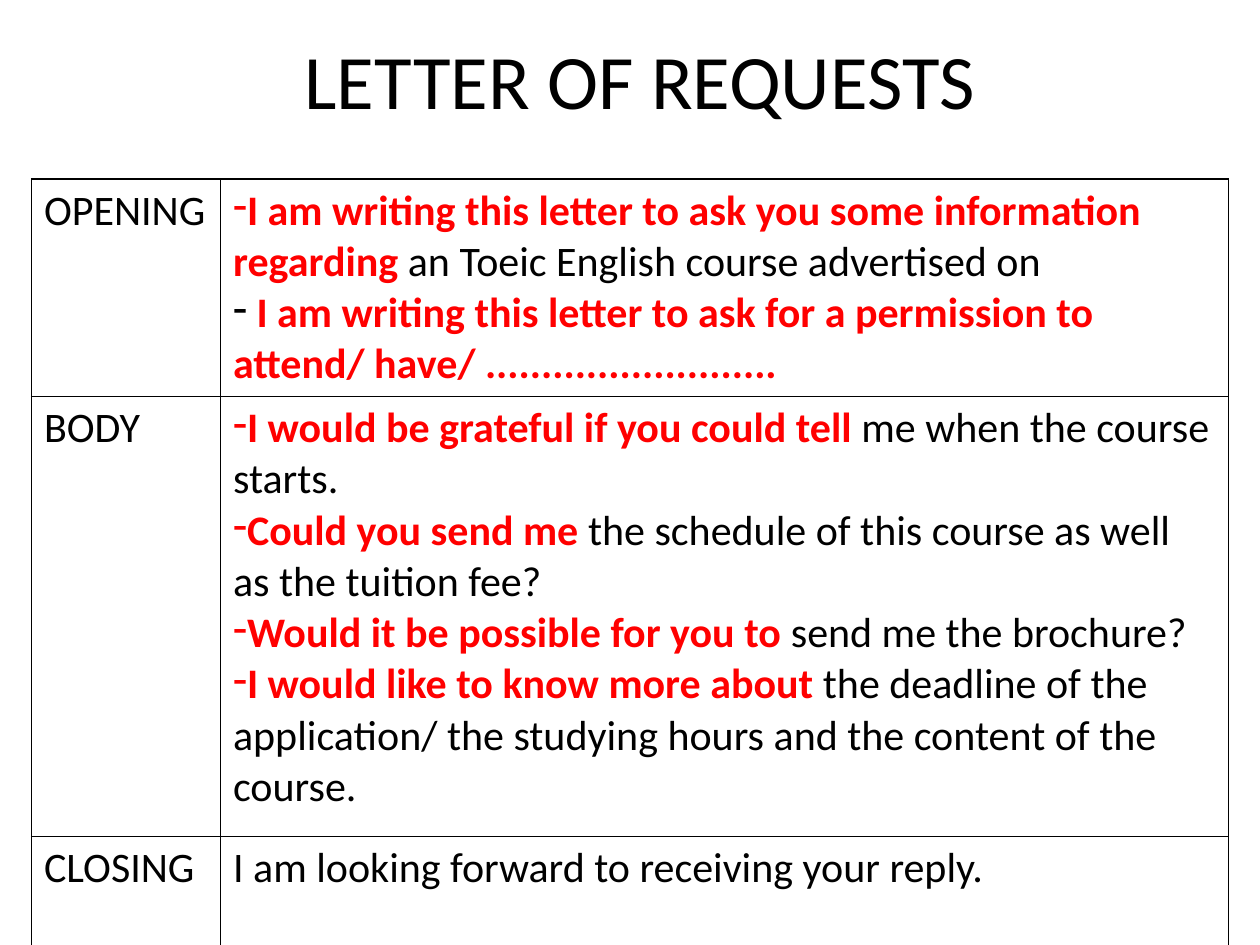
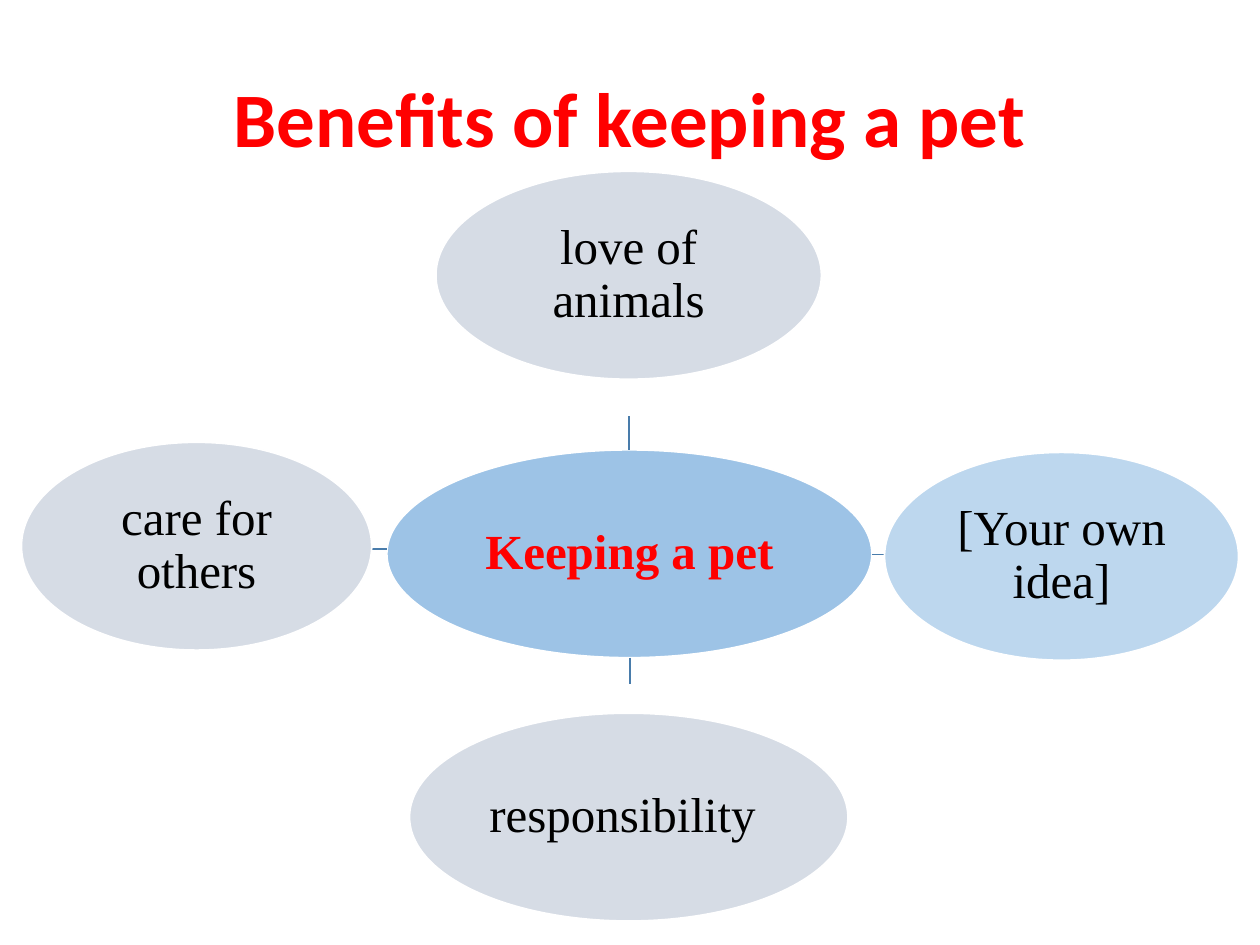
from lxml import etree
from pptx import Presentation
from pptx.dml.color import RGBColor
from pptx.enum.shapes import MSO_CONNECTOR, MSO_SHAPE
from pptx.enum.text import MSO_ANCHOR, PP_ALIGN
from pptx.oxml.ns import qn
from pptx.util import Inches, Pt

OVAL = MSO_SHAPE.OVAL
LINE = MSO_CONNECTOR.STRAIGHT
MIDDLE = MSO_ANCHOR.MIDDLE
CENTER = PP_ALIGN.CENTER

HUES = {
    "black": "000000",
    "red": "FF0000",
    "white": "FFFFFF",
    "core": "9DC3E6",
    "grey": "D6DCE5",
    "pale": "BDD7EE",
    "link": "497CAB",
}
TITLE = {"name": "Calibri", "size": Pt(44)}
CELL = {"name": "Calibri", "size": Pt(24)}
NODE = {"name": "Times New Roman", "size": Pt(28)}


def hue(name):
    return RGBColor.from_string(HUES[name])


def inches(*sizes):
    return [Inches(size) for size in sizes]


class Deck:
    def __init__(self):
        self.file = Presentation()
        self.file.slide_width, self.file.slide_height = inches(10, 7.5)
        self.slide = None

    def page(self):
        self.slide = self.file.slides.add_slide(self.file.slide_layouts[6])
        fill = self.slide.background.fill
        fill.solid()
        fill.fore_color.rgb = hue("white")

    def run(self, para, text, look, tone="black", bold=False):
        run = para.add_run()
        run.text = text
        for key, value in {**look, "bold": bold}.items():
            setattr(run.font, key, value)
        run.font.color.rgb = hue(tone)

    def label(self, shape, text, look, tone, bold, inset=None):
        frame = shape.text_frame
        form = {"word_wrap": True, "vertical_anchor": MIDDLE}
        if inset is not None:
            for side in ("left", "right", "top", "bottom"):
                form["margin_" + side] = Inches(inset)
        for key, value in form.items():
            setattr(frame, key, value)
        para = frame.paragraphs[0]
        para.alignment = CENTER
        self.run(para, text, look, tone, bold)
        return para

    def title(self, text, left, top, tone="black", bold=False):
        box = self.slide.shapes.add_textbox(*inches(left, top, 9, 1.25))
        self.label(box, text, TITLE, tone, bold)

    def oval(self, text, place, fill, tone="black", bold=False):
        oval = self.slide.shapes.add_shape(OVAL, *inches(*place))
        oval.shadow.inherit = False
        oval.fill.solid()
        oval.fill.fore_color.rgb = hue(fill)
        oval.line.color.rgb = hue("white")
        oval.line.width = Pt(1)
        para = self.label(oval, text, NODE, tone, bold, 0.02)
        para.line_spacing = 0.9

    def link(self, *ends):
        link = self.slide.shapes.add_connector(LINE, *inches(*ends))
        link.line.color.rgb = hue("link")
        link.line.width = Pt(1)
        props = link._element.spPr
        etree.SubElement(props, qn("a:effectLst"))

    def border(self, cell):
        props = cell._tc.get_or_add_tcPr()
        for spot, side in enumerate("LRTB"):
            edge = etree.Element(qn("a:ln" + side), w=str(Pt(1)))
            fill = etree.SubElement(edge, qn("a:solidFill"))
            etree.SubElement(fill, qn("a:srgbClr"), val=HUES["black"])
            props.insert(spot, edge)

    def dash(self, para):
        props = para._p.get_or_add_pPr()
        for key in ("marL", "indent"):
            props.set(key, "0")
        etree.SubElement(props, qn("a:buFontTx"))
        etree.SubElement(props, qn("a:buChar"), char="-")

    def cell(self, cell, items, dashed=False):
        cell.fill.background()
        self.border(cell)
        frame = cell.text_frame
        for spot, item in enumerate(items):
            para = frame.add_paragraph() if spot else frame.paragraphs[0]
            if dashed:
                self.dash(para)
            for text, key in item:
                self.run(para, text, CELL, "red" if key else "black", key)

    def table(self, rows, place, widths, heights):
        table = self.slide.shapes.add_table(
            len(rows), len(widths), *inches(*place)).table
        table.first_row = table.horz_banding = False
        for column, width in zip(table.columns, widths):
            column.width = Inches(width)
        for row, height, (name, items) in zip(table.rows, heights, rows):
            row.height = Inches(height)
            head, body = row.cells
            self.cell(head, [[(name, False)]])
            self.cell(body, items, name != "CLOSING")


LETTER = [
    ("OPENING", [
        [("I am writing this letter to ask you some information regarding ",
          True),
         ("an Toeic English course advertised on ", False)],
        [(" ", False),
         ("I am writing this letter to ask for a permission to attend/ have/ "
          + "." * 26, True)],
    ]),
    ("BODY", [
        [("I would be grateful if you could tell ", True),
         ("me when the course starts.", False)],
        [("Could you send me ", True),
         ("the schedule of this course as well as the tuition fee?", False)],
        [("Would it be possible for you to ", True),
         ("send me the brochure?", False)],
        [("I would like to know more about ", True),
         ("the deadline of the application/ the studying hours and "
          "the content of the course.", False)],
    ]),
    ("CLOSING", [[("I am looking forward to receiving your reply.", False)]]),
]

IDEAS = [
    ("love of animals", (3.46, 1.36, 3.06, 1.65), "grey",
     (4.99, 3.57, 4.99, 3.3)),
    ("[Your own idea]", (7.02, 3.59, 2.81, 1.65), "pale",
     (6.92, 4.4, 7.02, 4.4)),
    ("responsibility ", (3.25, 5.66, 3.48, 1.65), "grey",
     (5, 5.22, 5, 5.43)),
    ("care for others", (0.17, 3.51, 2.78, 1.65), "grey",
     (3.07, 4.36, 2.95, 4.36)),
]

deck = Deck()

deck.page()
deck.table(LETTER, (0.25, 1.42, 9.5, 6.08), (1.5, 8), (1.64, 3.49, 0.95))
deck.title("LETTER OF REQUESTS", 0.58, 0)

deck.page()
deck.title("Benefits of keeping a pet", 0.5, 0.3, "red", True)
deck.oval("Keeping a pet", (3.07, 3.57, 3.85, 1.65), "core", "red", True)
for text, place, fill, ends in IDEAS:
    deck.link(*ends)
    deck.oval(text, place, fill)

deck.file.save("out.pptx")
